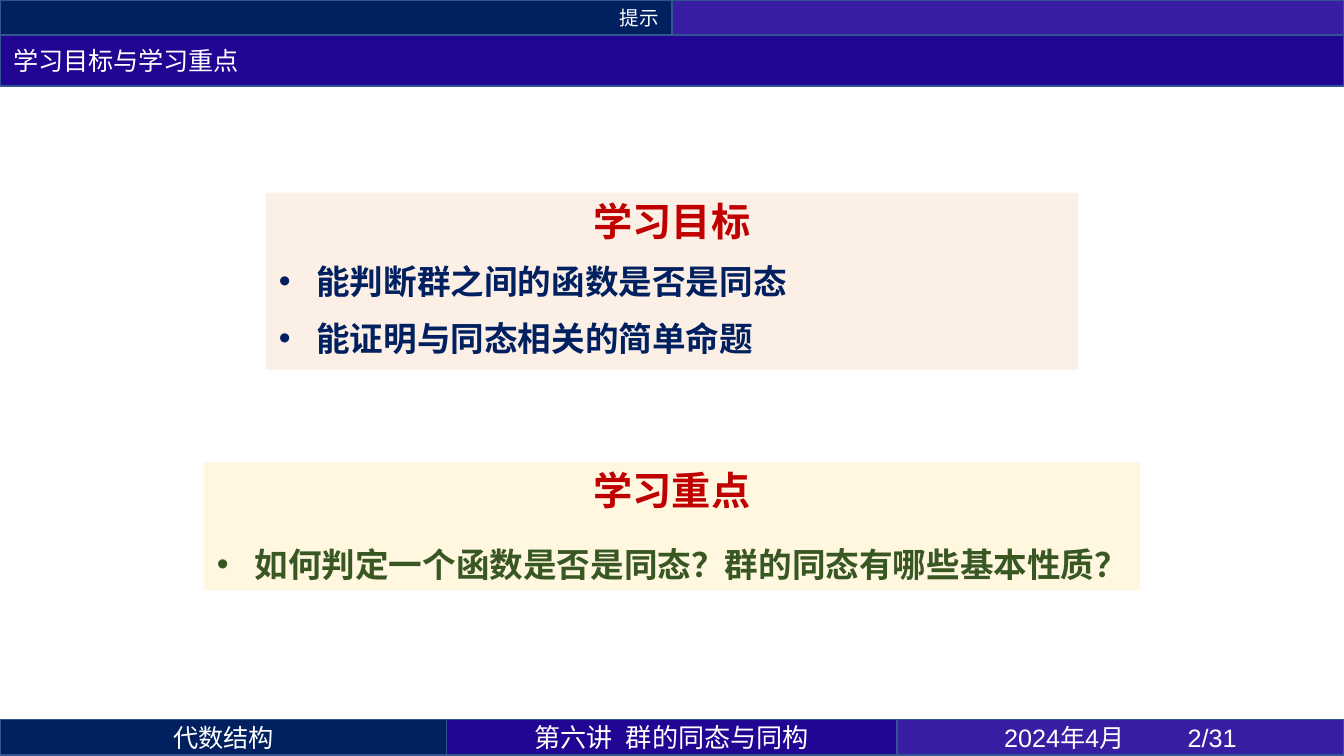
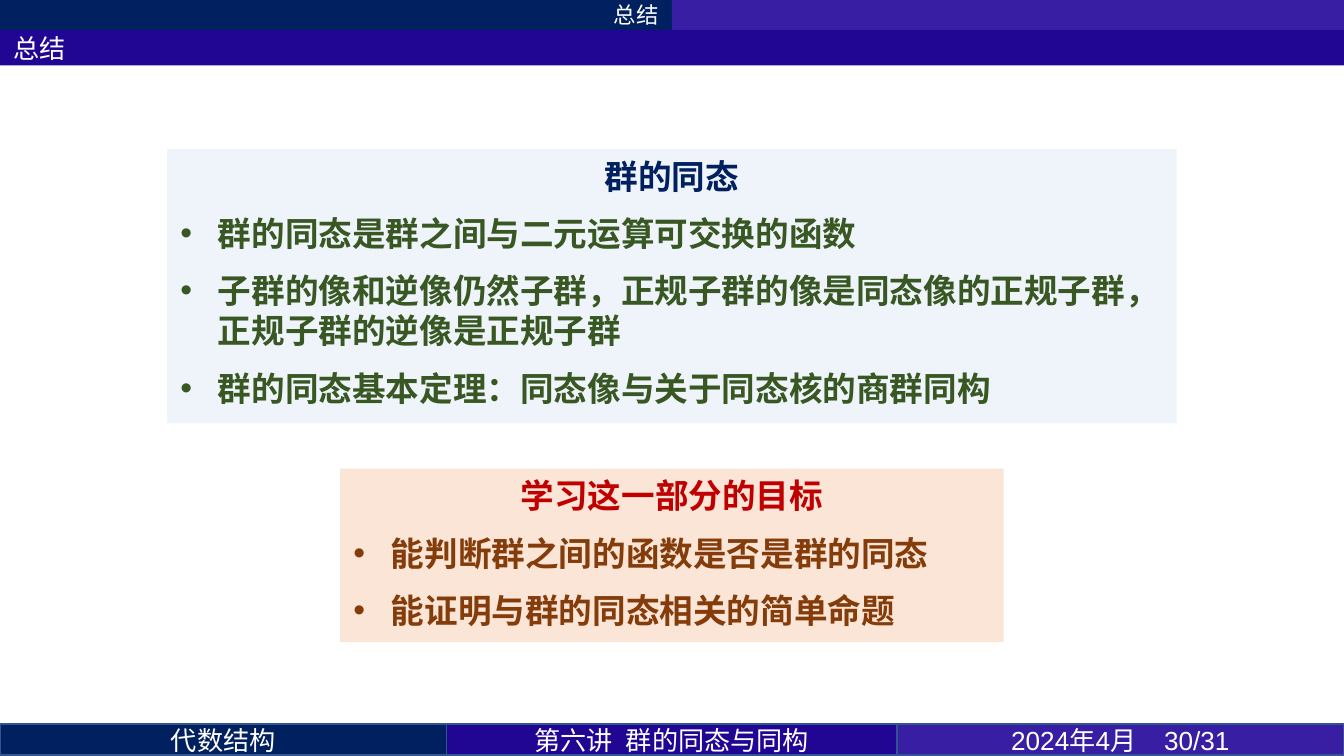
from lxml.etree import SubElement
from pptx import Presentation
from pptx.dml.color import RGBColor
from pptx.enum.shapes import MSO_SHAPE
from pptx.enum.text import MSO_ANCHOR, MSO_AUTO_SIZE, PP_ALIGN
from pptx.oxml.ns import qn
from pptx.util import Cm, Pt

WIDTH, HEIGHT = 25.4, 14.29
NAVY, INDIGO, VIOLET, EDGE = "002060", "210694", "371EA2", "325491"
WHITE, RED, GREEN, BROWN = "FFFFFF", "C00000", "385723", "843C0B"
CJK = "Noto Sans CJK SC"
LEFT, CENTER, RIGHT = PP_ALIGN.LEFT, PP_ALIGN.CENTER, PP_ALIGN.RIGHT


def rgb(value):
    return RGBColor.from_string(value)


class Deck:
    """Holds the shared style and the current slide."""

    def __init__(self):
        self.prs = Presentation()
        self.prs.slide_width, self.prs.slide_height = Cm(WIDTH), Cm(HEIGHT)
        self.slide = None

    def new_slide(self):
        self.slide = self.prs.slides.add_slide(self.prs.slide_layouts[6])

    def rect(self, x, y, w, h, fill, line=None, opacity=100):
        sp = self.slide.shapes.add_shape(
            MSO_SHAPE.RECTANGLE, Cm(x), Cm(y), Cm(w), Cm(h))
        sp.shadow.inherit = False
        sp.fill.solid()
        sp.fill.fore_color.rgb = rgb(fill)
        if opacity < 100:
            color = sp.fill._xPr.find(qn("a:solidFill"))[0]
            SubElement(color, qn("a:alpha")).set("val", str(opacity * 1000))
        if line:
            sp.line.color.rgb = rgb(line)
            sp.line.width = Pt(1)
        else:
            sp.line.fill.background()
        return sp

    def run(self, p, text, color, size, font, bold=False, spacing=0):
        r = p.add_run()
        r.text = text
        for name, value in dict(name=font, size=Pt(size), bold=bold).items():
            setattr(r.font, name, value)
        r.font.color.rgb = rgb(color)
        SubElement(r._r.rPr, qn("a:ea")).set("typeface", CJK)
        if spacing:
            r._r.rPr.set("spc", str(int(spacing * 100)))

    def band(self, x, y, w, h, fill, line, words=(), size=14, font=CJK,
             align=CENTER, gap=0):
        """A coloured bar; its words are set apart by a widened space."""
        sp = self.rect(x, y, w, h, fill, line)
        tf = sp.text_frame
        tf.vertical_anchor = MSO_ANCHOR.MIDDLE
        p = tf.paragraphs[0]
        p.alignment = align
        for i, word in enumerate(words):
            if i:
                self.run(p, " ", WHITE, size, font, spacing=gap)
            self.run(p, word, WHITE, size, font)

    def header(self, section, title, heights, sizes, line=None):
        top, bar = heights
        half = WIDTH / 2
        self.band(0, 0, half, top, NAVY, line, [section], sizes[0], CJK, RIGHT)
        self.band(half, 0, half, top, VIOLET, line)
        self.band(0, top, WIDTH, bar, INDIGO, line, [title], sizes[1],
                  "Calibri", LEFT)

    def footer(self, y, h, page, size, page_gap):
        cells = [
            (0, NAVY, ["代数结构"], size, CJK, 0),
            (8.44, INDIGO, ["第六讲", "群的同态与同构"], 14, CJK, 3.9),
            (16.95, VIOLET, ["2024年4月", page], size, "Arial", page_gap),
        ]
        ends = [x for x, *_ in cells[1:]] + [WIDTH]
        for (x, fill, words, pt, font, gap), end in zip(cells, ends):
            self.band(x, y, end - x, h, fill, EDGE, words, pt, font, gap=gap)

    def paragraph(self, p, text, color, size, font, bullet=False, **spacing):
        p.alignment = LEFT if bullet else CENTER
        for name, value in spacing.items():
            if value is not None:
                setattr(p, name, Pt(value))
        if bullet:
            pPr = p._p.get_or_add_pPr()
            pPr.set("marL", str(Cm(0.71)))
            pPr.set("indent", str(-Cm(0.71)))
            SubElement(pPr, qn("a:buFont")).set("typeface", "Arial")
            SubElement(pPr, qn("a:buChar")).set("char", "•")
        self.run(p, text, color, size, font, bold=True)

    def card(self, y, w, h, fill, opacity, head, items, before=4.5,
             head_before=4.5, head_leading=None, item_leading=None):
        """A centred box: a heading and its bullets."""
        sp = self.rect((WIDTH - w) / 2, y, w, h, fill, opacity=opacity)
        tf = sp.text_frame
        tf.word_wrap = True
        tf.auto_size = MSO_AUTO_SIZE.SHAPE_TO_FIT_TEXT
        tf.vertical_anchor = MSO_ANCHOR.TOP
        self.paragraph(tf.paragraphs[0], *head, space_before=head_before,
                       space_after=4.5, line_spacing=head_leading)
        texts, color, font = items
        for text in texts:
            self.paragraph(tf.add_paragraph(), text, color, 18, font,
                           bullet=True, space_before=before, space_after=4.5,
                           line_spacing=item_leading)


def goals_slide(deck):
    deck.new_slide()
    deck.header("提示", "学习目标与学习重点", (0.67, 0.96), (10.5, 13.5), EDGE)
    deck.footer(13.6, 0.67, "2/31", 13.5, 31)
    deck.card(3.64, 15.36, 3.35, "FBE5D6", 60,
              ("学习目标", RED, 21, CJK),
              (["能判断群之间的函数是否是同态", "能证明与同态相关的简单命题"],
               NAVY, "Arial"), head_leading=24)
    deck.card(8.74, 17.7, 2.42, "FFF2CC", 60,
              ("学习重点", RED, 21, CJK),
              (["如何判定一个函数是否是同态？群的同态有哪些基本性质？"],
               GREEN, "Arial"),
              before=9, head_before=9, head_leading=24, item_leading=24)


def summary_slide(deck):
    deck.new_slide()
    deck.header("总结", "总结", (0.57, 0.67), (12, 14))
    deck.footer(13.69, 0.58, "30/31", 14, 11.7)
    deck.card(2.82, 19.08, 5.18, "DEEBF7", 50,
              ("群的同态", NAVY, 18, "Calibri"),
              (["群的同态是群之间与二元运算可交换的函数",
                "子群的像和逆像仍然子群，正规子群的像是同态像的正规子群，"
                "正规子群的逆像是正规子群",
                "群的同态基本定理：同态像与关于同态核的商群同构"],
               GREEN, CJK))
    deck.card(8.86, 12.54, 3.28, "FBE5D6", 100,
              ("学习这一部分的目标", RED, 18, "Calibri"),
              (["能判断群之间的函数是否是群的同态", "能证明与群的同态相关的简单命题"],
               BROWN, CJK), head_before=0)


def main():
    deck = Deck()
    goals_slide(deck)
    summary_slide(deck)
    deck.prs.save("out.pptx")


if __name__ == "__main__":
    main()
